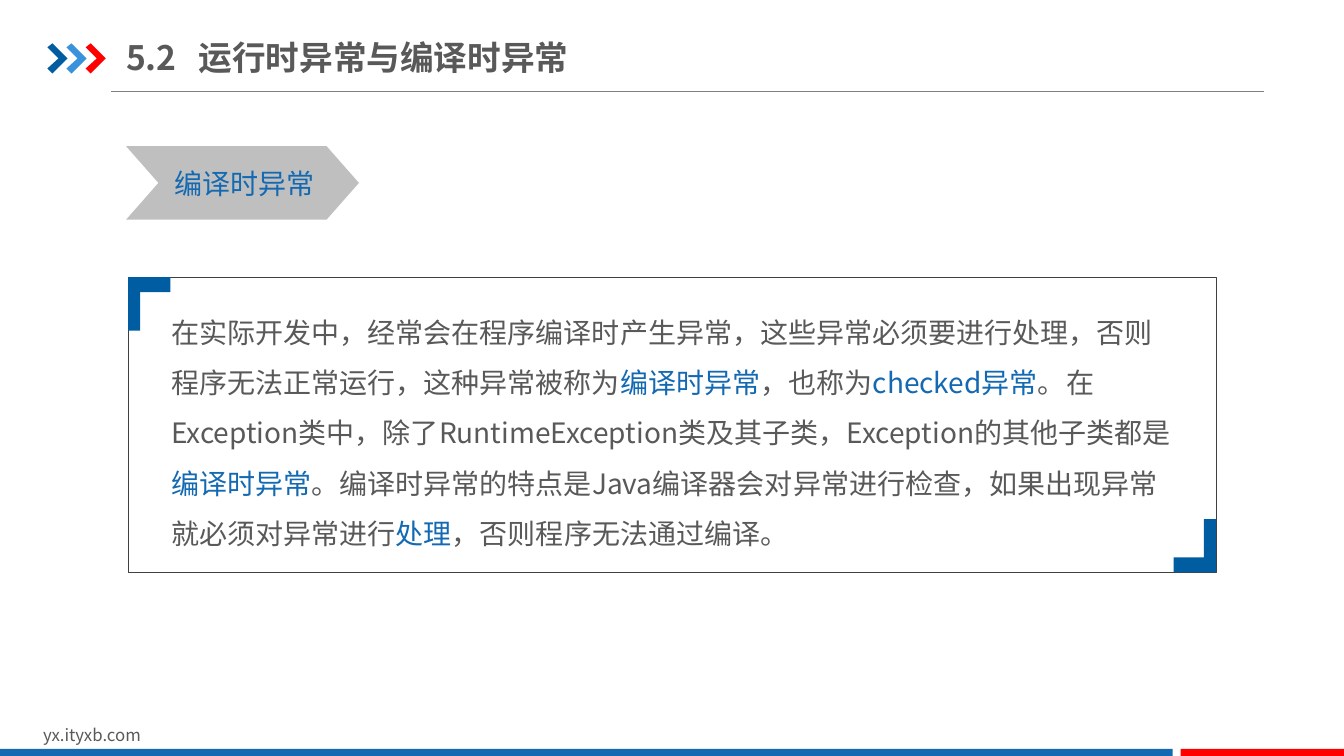
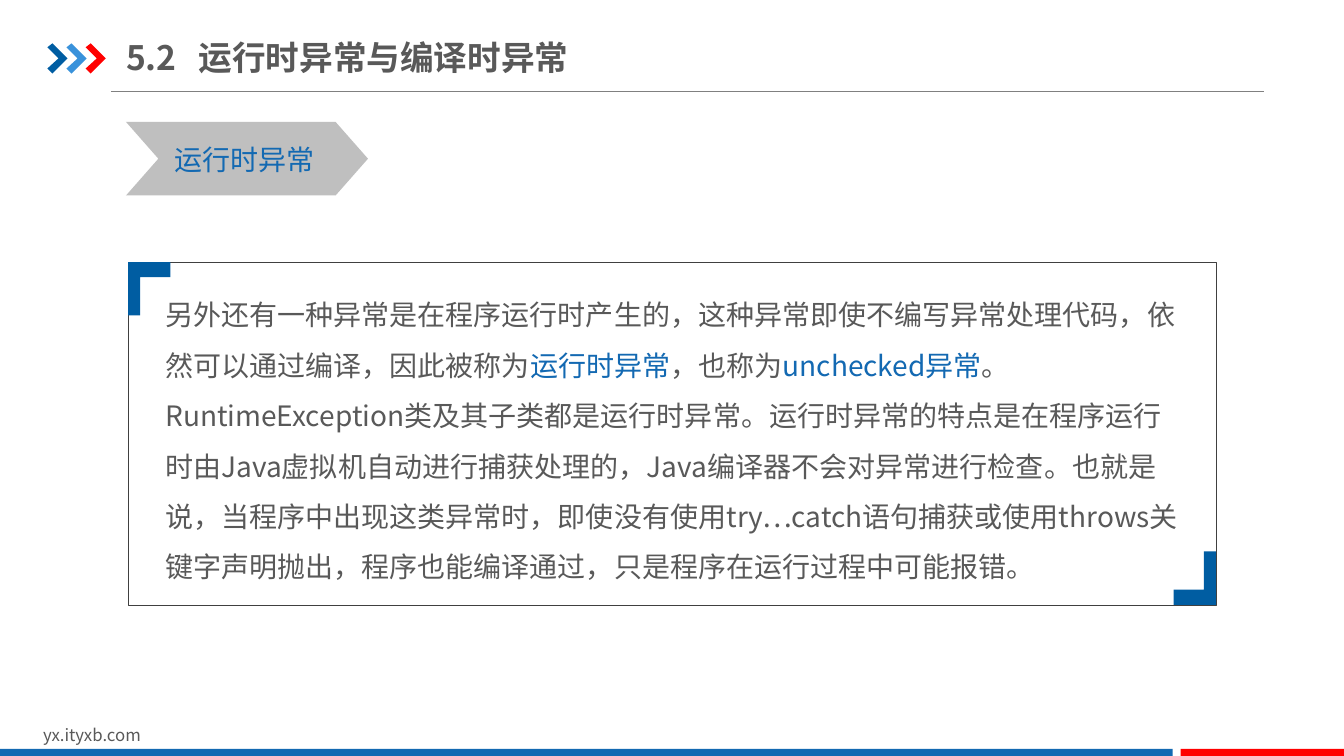
"""Build two slides on compile-time and runtime exceptions in Java."""
from lxml.etree import SubElement
from pptx import Presentation
from pptx.dml.color import RGBColor
from pptx.enum.shapes import MSO_CONNECTOR, MSO_SHAPE
from pptx.enum.text import MSO_ANCHOR, MSO_AUTO_SIZE
from pptx.oxml.ns import qn
from pptx.util import Inches, Pt

FONT = "Noto Sans CJK SC"
BLUE = RGBColor(0x13, 0x69, 0xB2)
DEEP_BLUE = RGBColor(0x00, 0x5D, 0xA2)
LIGHT_BLUE = RGBColor(0x39, 0x92, 0xDB)
RED = RGBColor(0xFF, 0x00, 0x00)
TEXT_GRAY = RGBColor(0x59, 0x59, 0x59)
RULE_GRAY = RGBColor(0x80, 0x80, 0x80)
TAG_GRAY = RGBColor(0xBF, 0xBF, 0xBF)
FRAME_GRAY = RGBColor(0x40, 0x40, 0x40)

TITLE = "5.2\t运行时异常与编译时异常"
SITE = "yx.ityxb.com"
ARROW = [(0, 0.04), (0.05, 0), (0.2, 0.15), (0.05, 0.3), (0, 0.25), (0.11, 0.15)]
CORNER = [(0, 0), (0.42, 0), (0.42, 0.15), (0.12, 0.15), (0.12, 0.53), (0, 0.53)]
FRAME_LEFT, FRAME_WIDTH = 1.27, 10.79

COMPILE_TIME = [
    ("在实际开发中，经常会在程序编译时产生异常，这些异常必须要进行处理，否则程序无法正常运行，这种异常被称为", TEXT_GRAY),
    ("编译时异常", BLUE),
    ("，也称为", TEXT_GRAY),
    ("checked异常", BLUE),
    ("。在Exception类中，除了RuntimeException类及其子类，Exception的其他子类都是", TEXT_GRAY),
    ("编译时异常", BLUE),
    ("。编译时异常的特点是Java编译器会对异常进行检查，如果出现异常就必须对异常进行", TEXT_GRAY),
    ("处理", BLUE),
    ("，否则程序无法通过编译。", TEXT_GRAY),
]
RUNTIME = [
    ("另外还有一种异常是在程序运行时产生的，这种异常即使不编写异常处理代码，依然可以通过编译，因此被称为", TEXT_GRAY),
    ("运行时异常", BLUE),
    ("，也称为", TEXT_GRAY),
    ("unchecked异常", BLUE),
    ("。RuntimeException类及其子类都是运行时异常。运行时异常的特点是在程序运行时由Java虚拟机自动进行捕获处理的，"
     "Java编译器不会对异常进行检查。也就是说，当程序中出现这类异常时，即使没有使用try…catch语句捕获或使用throws"
     "关键字声明抛出，程序也能编译通过，只是程序在运行过程中可能报错。", TEXT_GRAY),
]


def paint(shape, color):
    """Give a shape a flat fill without outline or shadow."""
    shape.shadow.inherit = False
    shape.fill.solid()
    shape.fill.fore_color.rgb = color
    shape.line.fill.background()


def add_block(slide, kind, box, color):
    """Add a filled preset shape."""
    block = slide.shapes.add_shape(kind, *map(Inches, box))
    paint(block, color)
    return block


def add_outline(slide, points, left, top, color, sign=1):
    """Add a filled outline from an anchor; a sign of -1 turns it half round."""
    corners = [(Inches(left + sign * x), Inches(top + sign * y)) for x, y in points]
    builder = slide.shapes.build_freeform(*corners[0])
    builder.add_line_segments(corners[1:], close=True)
    paint(builder.convert_to_shape(), color)


def add_text(slide, box, parts, size, wrap=True, bold=False):
    """Add a one-paragraph text box made of (text, colour) parts."""
    frame = slide.shapes.add_textbox(*map(Inches, box)).text_frame
    frame.word_wrap = wrap
    frame.auto_size = MSO_AUTO_SIZE.SHAPE_TO_FIT_TEXT
    for text, color in parts:
        run = frame.paragraphs[0].add_run()
        run.text = text
        run.font.size = Pt(size)
        run.font.bold = bold
        run.font.name = FONT
        run.font.color.rgb = color
        SubElement(run.font._element, qn("a:ea"), typeface=FONT)
    return frame


def add_rule(slide):
    """Draw the line under the title."""
    rule = slide.shapes.add_connector(
        MSO_CONNECTOR.STRAIGHT, Inches(1.1), Inches(0.91), Inches(12.54), Inches(0.91))
    rule.line.color.rgb = RULE_GRAY
    rule.line.width = Pt(0.75)
    SubElement(rule._element.spPr, qn("a:effectLst"))


def add_title(slide):
    """Add the section title with a tab between number and name."""
    frame = add_text(slide, (1.25, 0.29, 4.99, 0.55), [(TITLE, TEXT_GRAY)], 24, bold=True)
    frame.auto_size = MSO_AUTO_SIZE.NONE
    frame.vertical_anchor = MSO_ANCHOR.MIDDLE
    frame.margin_left = frame.margin_right = 0
    frame.margin_top = frame.margin_bottom = Inches(0.07)
    tabs = SubElement(frame.paragraphs[0]._p.get_or_add_pPr(), qn("a:tabLst"))
    SubElement(tabs, qn("a:tab"), pos=str(Inches(0.72)), algn="l")


def add_common_parts(slide):
    """Add the title area and the footer."""
    add_rule(slide)
    for index, color in enumerate((DEEP_BLUE, LIGHT_BLUE, RED)):
        add_outline(slide, ARROW, 0.47 + 0.19 * index, 0.43, color)
    add_text(slide, (0.33, 7.14, 3.18, 0.3), [(SITE, TEXT_GRAY)], 12)
    for left, width, color in ((0, 11.63, BLUE), (11.71, 1.63, RED)):
        add_block(slide, MSO_SHAPE.RECTANGLE, (left, 7.43, width, 0.09), color)
    add_title(slide)


def add_tag(slide, label, top, width):
    """Add the chevron that names the kind of exception."""
    chevron = add_block(slide, MSO_SHAPE.CHEVRON, (1.25, top, width, 0.73), TAG_GRAY)
    chevron.adjustments[0] = 0.44
    add_text(slide, (1.63, top + 0.155, 1.59, 0.44), [(label, BLUE)], 20, wrap=False)


def add_frame(slide, top, height):
    """Add the thin frame with two thick corners."""
    frame = slide.shapes.add_shape(
        MSO_SHAPE.RECTANGLE, *map(Inches, (FRAME_LEFT, top, FRAME_WIDTH, height)))
    frame.shadow.inherit = False
    frame.fill.background()
    frame.line.color.rgb = FRAME_GRAY
    frame.line.width = Pt(0.25)
    add_outline(slide, CORNER, FRAME_LEFT, top, DEEP_BLUE)
    add_outline(slide, CORNER, FRAME_LEFT + FRAME_WIDTH, top + height, DEEP_BLUE, -1)


def add_exception_slide(deck, label, tag_top, tag_width, parts, text_box, frame_top, frame_height):
    """Add one slide that explains a kind of exception."""
    slide = deck.slides.add_slide(deck.slide_layouts[6])
    add_common_parts(slide)
    add_tag(slide, label, tag_top, tag_width)
    explanation = add_text(slide, text_box, parts, 20)
    explanation.paragraphs[0].line_spacing = 1.5
    add_frame(slide, frame_top, frame_height)


def main():
    """Build and save the slides."""
    deck = Presentation()
    deck.slide_width, deck.slide_height = Inches(13.33), Inches(7.5)
    add_exception_slide(deck, "编译时异常", 1.45, 2.31, COMPILE_TIME,
                        (1.6, 2.91, 10.13, 2.62), 2.75, 2.93)
    add_exception_slide(deck, "运行时异常", 1.21, 2.4, RUNTIME,
                        (1.54, 2.74, 10.25, 3.13), 2.6, 3.4)
    deck.save("out.pptx")


if __name__ == "__main__":
    main()
